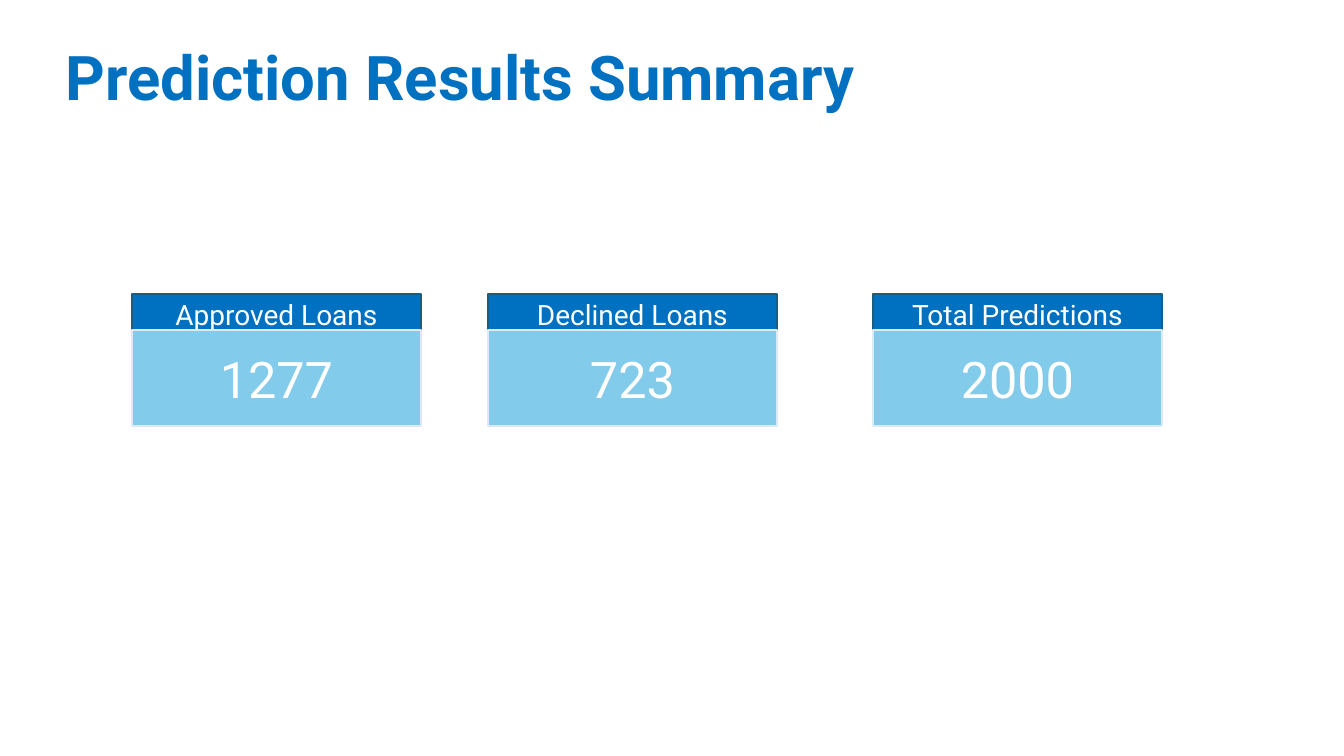
from dataclasses import dataclass

from pptx import Presentation
from pptx.dml.color import RGBColor
from pptx.enum.shapes import MSO_SHAPE
from pptx.enum.text import MSO_ANCHOR, PP_ALIGN
from pptx.util import Emu, Pt

RECTANGLE = MSO_SHAPE.RECTANGLE
MIDDLE = MSO_ANCHOR.MIDDLE
LEFT, CENTER = PP_ALIGN.LEFT, PP_ALIGN.CENTER

TITLE = "Prediction Results Summary"
# (label, value, left edge in px)
CARDS = [
    ("Approved Loans", "1277", 132),
    ("Declined Loans", "723", 488),
    ("Total Predictions", "2000", 873),
]

PX_PER_INCH = 100.8
SLIDE_SIZE = (1344, 756)
TITLE_BOX = (56, 8, 1159, 146)
CARD_WIDTH = 289
LABEL_TOP, LABEL_HEIGHT = 294, 41
VALUE_TOP, VALUE_HEIGHT = 330, 96


@dataclass(frozen=True)
class Theme:
    font: str = "Roboto"
    blue: str = "0070C0"
    sky: str = "83CBEB"
    label_line: str = "156082"
    value_line: str = "DCEAF7"
    white: str = "FFFFFF"
    title_size: int = 44
    label_size: int = 20
    value_size: int = 36


THEME = Theme()


def px(length):
    return Emu(round(length * 914400 / PX_PER_INCH))


def rgb(code):
    return RGBColor.from_string(code)


def write_text(shape, text, size, color, align=CENTER, bold=False):
    frame = shape.text_frame
    frame.word_wrap = True
    frame.vertical_anchor = MIDDLE
    para = frame.paragraphs[0]
    para.alignment = align
    span = para.add_run()
    span.text = text
    span.font.name = THEME.font
    span.font.size = Pt(size)
    span.font.bold = bold
    span.font.color.rgb = rgb(color)
    return para


def add_title(page):
    box = page.shapes.add_textbox(*map(px, TITLE_BOX))
    para = write_text(box, TITLE, THEME.title_size, THEME.blue, LEFT, bold=True)
    para.line_spacing = 0.9


def add_panel(page, bounds, text, size, fill, line, line_width):
    panel = page.shapes.add_shape(RECTANGLE, *map(px, bounds))
    panel.shadow.inherit = False
    panel.fill.solid()
    panel.fill.fore_color.rgb = rgb(fill)
    panel.line.color.rgb = rgb(line)
    panel.line.width = Pt(line_width)
    write_text(panel, text, size, THEME.white)


def add_card(page, label, value, left):
    """Draw a label bar with its value panel overlapping the lower edge."""
    add_panel(page, (left, LABEL_TOP, CARD_WIDTH, LABEL_HEIGHT), label,
              THEME.label_size, THEME.blue, THEME.label_line, 1)
    add_panel(page, (left, VALUE_TOP, CARD_WIDTH, VALUE_HEIGHT), value,
              THEME.value_size, THEME.sky, THEME.value_line, 1.5)


def main():
    deck = Presentation()
    deck.slide_width, deck.slide_height = map(px, SLIDE_SIZE)
    page = deck.slides.add_slide(deck.slide_layouts[6])
    add_title(page)
    for label, value, left in CARDS:
        add_card(page, label, value, left)
    deck.save("out.pptx")


if __name__ == "__main__":
    main()
